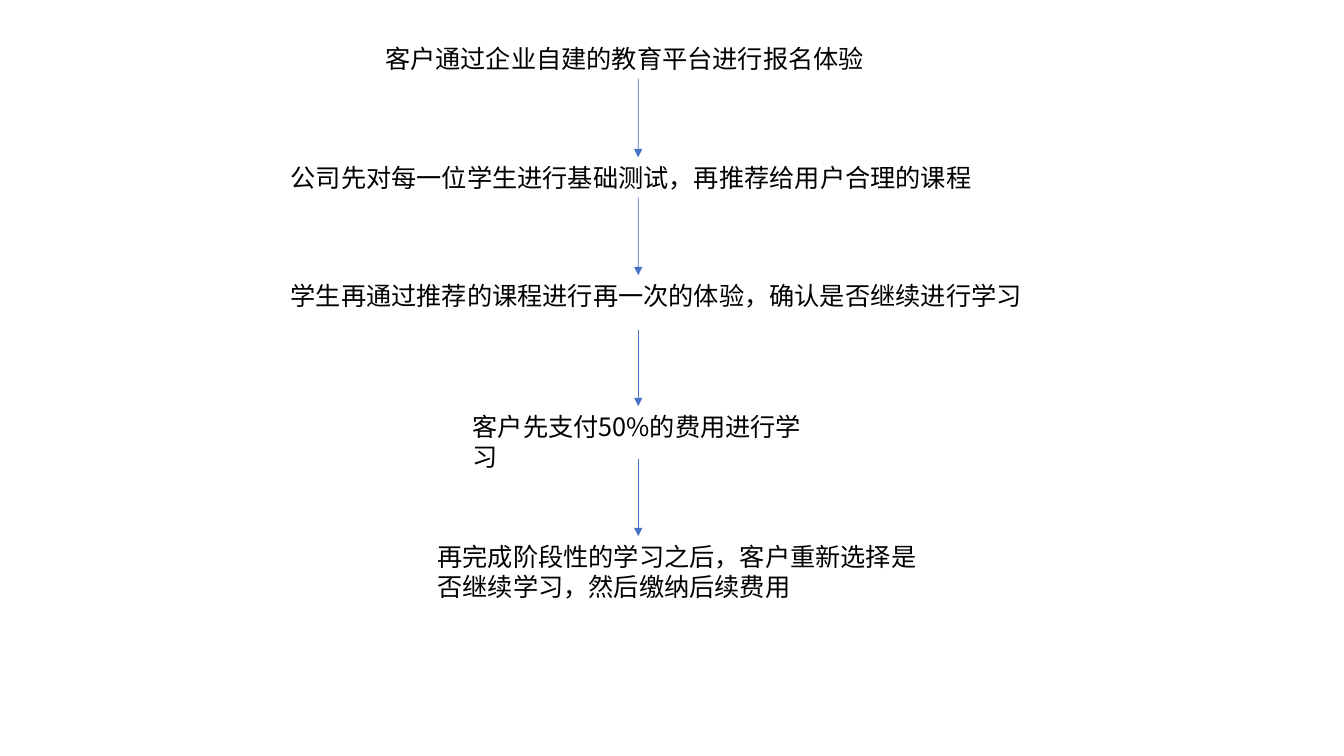
from dataclasses import dataclass
from itertools import pairwise

from lxml.etree import SubElement
from pptx import Presentation
from pptx.dml.color import RGBColor
from pptx.enum.shapes import MSO_CONNECTOR
from pptx.enum.text import MSO_AUTO_SIZE
from pptx.oxml.ns import qn
from pptx.shapes.autoshape import Shape
from pptx.slide import Slide
from pptx.util import Inches, Pt

SLIDE_WIDTH = Inches(13.33)
SLIDE_HEIGHT = Inches(7.5)
COLOURS = {"background": "FFFFFF", "text": "000000", "arrow": "4472C4"}
FONT = "Noto Sans CJK SC"
AXIS = 47.49
BOTTOM, TOP = 2, 0


@dataclass(frozen=True)
class Step:
    text: str
    left: float
    top: float
    width: float
    height: float = 5.33
    arrow_gap: float = 0

    @property
    def arrow_start(self) -> float:
        return self.top + self.height + self.arrow_gap

    @property
    def on_axis(self) -> bool:
        return abs(self.left + self.width / 2 - AXIS) < 0.05


STEPS = [
    Step("客户通过企业自建的教育平台进行报名体验", 27.91, 5.07, 39.16),
    Step("公司先对每一位学生进行基础测试，再推荐给用户合理的课程", 20.89, 20.8, 53.19),
    Step("学生再通过推荐的课程进行再一次的体验，确认是否继续进行学习", 20.89, 36.4, 59.26,
         arrow_gap=1.87),
    Step("客户先支付50%的费用进行学习", 34.43, 53.73, 27.31, arrow_gap=1.6),
    Step("再完成阶段性的学习之后，客户重新选择是否继续学习，然后缴纳后续费用",
         31.81, 70.93, 37.51, height=9.47),
]


def across(percent: float) -> int:
    return round(SLIDE_WIDTH * percent / 100)


def down(percent: float) -> int:
    return round(SLIDE_HEIGHT * percent / 100)


def colour(name: str) -> RGBColor:
    return RGBColor.from_string(COLOURS[name])


def add_step(slide: Slide, step: Step) -> Shape:
    shape = slide.shapes.add_textbox(
        across(step.left), down(step.top), across(step.width), down(step.height))
    frame = shape.text_frame
    frame.word_wrap = True
    frame.auto_size = MSO_AUTO_SIZE.SHAPE_TO_FIT_TEXT
    run = frame.paragraphs[0].add_run()
    run.text = step.text
    run.font.size = Pt(18)
    run.font.name = FONT
    run.font.color.rgb = colour("text")
    SubElement(run.font._element, qn("a:ea"), typeface=FONT)
    return shape


def add_arrow(slide: Slide, upper: Step, lower: Step,
              upper_shape: Shape, lower_shape: Shape) -> None:
    arrow = slide.shapes.add_connector(
        MSO_CONNECTOR.STRAIGHT, across(AXIS), down(upper.arrow_start),
        across(AXIS), down(lower.top))
    if upper.on_axis and upper.arrow_gap == 0:
        arrow.begin_connect(upper_shape, BOTTOM)
    if lower.on_axis:
        arrow.end_connect(lower_shape, TOP)
    arrow.line.color.rgb = colour("arrow")
    arrow.line.width = Pt(0.5)
    SubElement(arrow.line._get_or_add_ln(), qn("a:tailEnd"), type="triangle")
    SubElement(arrow._element.spPr, qn("a:effectLst"))


def main() -> None:
    presentation = Presentation()
    presentation.slide_width = SLIDE_WIDTH
    presentation.slide_height = SLIDE_HEIGHT
    slide = presentation.slides.add_slide(presentation.slide_layouts[6])
    slide.background.fill.solid()
    slide.background.fill.fore_color.rgb = colour("background")
    placed = [(step, add_step(slide, step)) for step in STEPS]
    for (upper, upper_shape), (lower, lower_shape) in pairwise(placed):
        add_arrow(slide, upper, lower, upper_shape, lower_shape)
    presentation.save("out.pptx")


if __name__ == "__main__":
    main()
